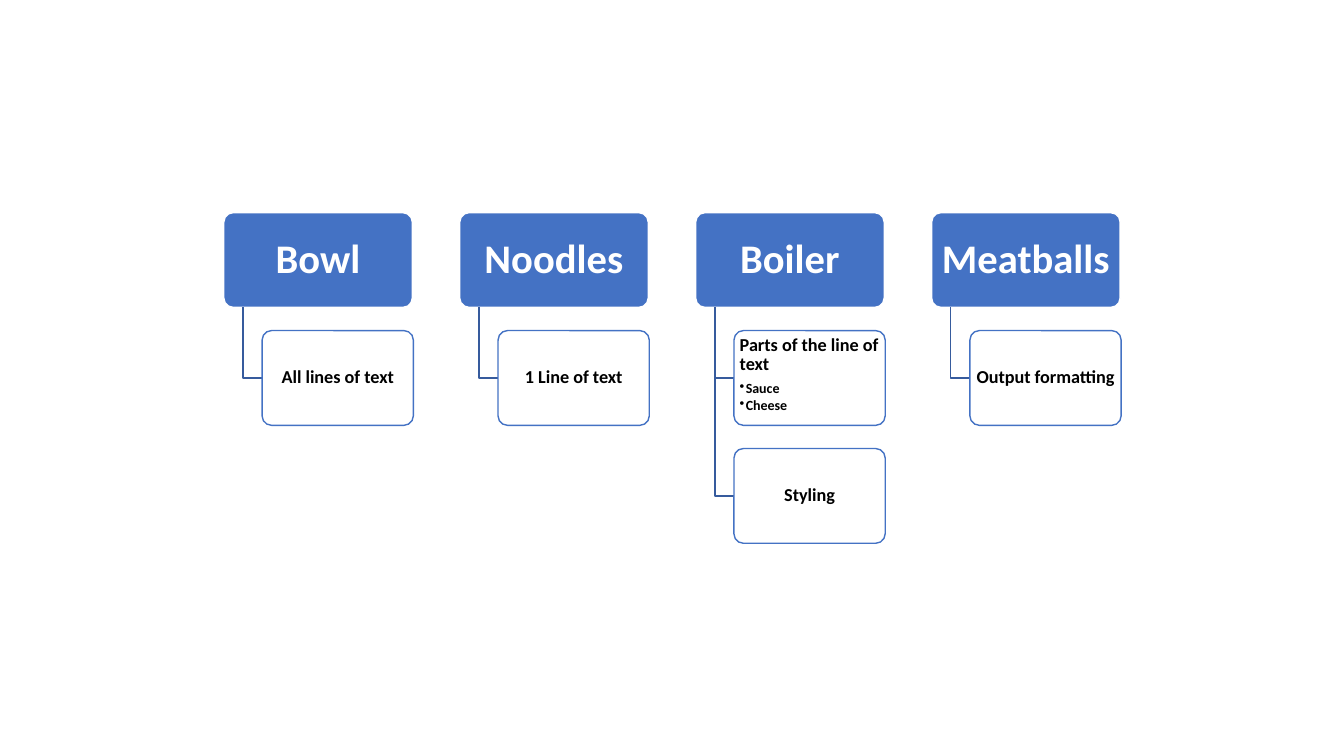
from lxml.etree import SubElement
from pptx import Presentation
from pptx.dml.color import RGBColor
from pptx.enum.shapes import MSO_SHAPE as Preset
from pptx.enum.text import MSO_ANCHOR as Anchor, PP_ALIGN as Align
from pptx.oxml.ns import qn
from pptx.util import Inches, Pt

BLUE, DARK_BLUE, WHITE, BLACK = "4472C4", "365B9D", "FFFFFF", "000000"
LEFT, TOP = 2.22, 2.11
COLUMN_STEP, ROW_STEP = 2.34, 1.17
HEAD_WIDTH, DETAIL_WIDTH, BOX_HEIGHT = 1.87, 1.5, 0.94
STEM_INDENT, DETAIL_INDENT = 0.19, 0.38

COLUMNS = [
    ("Bowl", [["All lines of text"]]),
    ("Noodles", [["1 Line of text"]]),
    ("Boiler", [["Parts of the line of text", "Sauce", "Cheese"], ["Styling"]]),
    ("Meatballs", [["Output formatting "]]),
]


def color(value):
    return RGBColor.from_string(value)


def style_line(shape, value):
    shape.shadow.inherit = False
    shape.line.color.rgb = color(value)
    shape.line.width = Pt(1)


def add_bullet(para):
    properties = para._p.get_or_add_pPr()
    properties.set("marL", str(Inches(0.06)))
    properties.set("indent", str(Inches(-0.06)))
    SubElement(properties, qn("a:buChar"), char="•")


def format_para(para, size, ink, align, space_after):
    para.alignment = align
    para.line_spacing = 0.9
    para.space_before = Pt(0)
    para.space_after = Pt(space_after)
    for span in para.runs:
        span.font.name = "Calibri"
        span.font.size = Pt(size)
        span.font.bold = True
        span.font.color.rgb = color(ink)


def add_box(page, left, top, width, fill, outline, margins):
    box = page.shapes.add_shape(Preset.ROUNDED_RECTANGLE, Inches(left), Inches(top),
                                Inches(width), Inches(BOX_HEIGHT))
    box.adjustments[0] = 0.1
    box.fill.solid()
    box.fill.fore_color.rgb = color(fill)
    style_line(box, outline)
    frame = box.text_frame
    frame.word_wrap = True
    frame.vertical_anchor = Anchor.MIDDLE
    frame.margin_left = frame.margin_right = Inches(margins[0])
    frame.margin_top = frame.margin_bottom = Inches(margins[1])
    return frame


def add_heading(page, left, title):
    frame = add_box(page, left, TOP, HEAD_WIDTH, BLUE, WHITE, (0.06, 0.04))
    frame.text = title
    format_para(frame.paragraphs[0], 29, WHITE, Align.CENTER, 0)


def add_detail(page, left, top, lines):
    frame = add_box(page, left, top, DETAIL_WIDTH, WHITE, BLUE, (0.03, 0.02))
    frame.text = "\n".join(lines)
    title, *bullets = frame.paragraphs
    align = Align.LEFT if bullets else Align.CENTER
    format_para(title, 13, BLACK, align, 4.5 if bullets else 0)
    if bullets:
        frame.vertical_anchor = Anchor.TOP
    for para in bullets:
        para.level = 1
        format_para(para, 10, BLACK, align, 1.5)
        add_bullet(para)


def add_elbow(page, left, top, right, bottom):
    builder = page.shapes.build_freeform(Inches(left), Inches(top))
    builder.add_line_segments([(Inches(left), Inches(bottom)),
                               (Inches(right), Inches(bottom))], close=False)
    elbow = builder.convert_to_shape()
    elbow.fill.background()
    style_line(elbow, DARK_BLUE)


def add_column(page, left, title, details):
    add_heading(page, left, title)
    detail_left = left + DETAIL_INDENT
    for row, lines in enumerate(details, start=1):
        top = TOP + row * ROW_STEP
        add_elbow(page, left + STEM_INDENT, TOP + BOX_HEIGHT,
                  detail_left, top + BOX_HEIGHT / 2)
        add_detail(page, detail_left, top, lines)


def main():
    deck = Presentation()
    deck.slide_width, deck.slide_height = Inches(13.33), Inches(7.5)
    page = deck.slides.add_slide(deck.slide_layouts[6])
    for index, (title, details) in enumerate(COLUMNS):
        add_column(page, LEFT + index * COLUMN_STEP, title, details)
    deck.save("out.pptx")


main()
